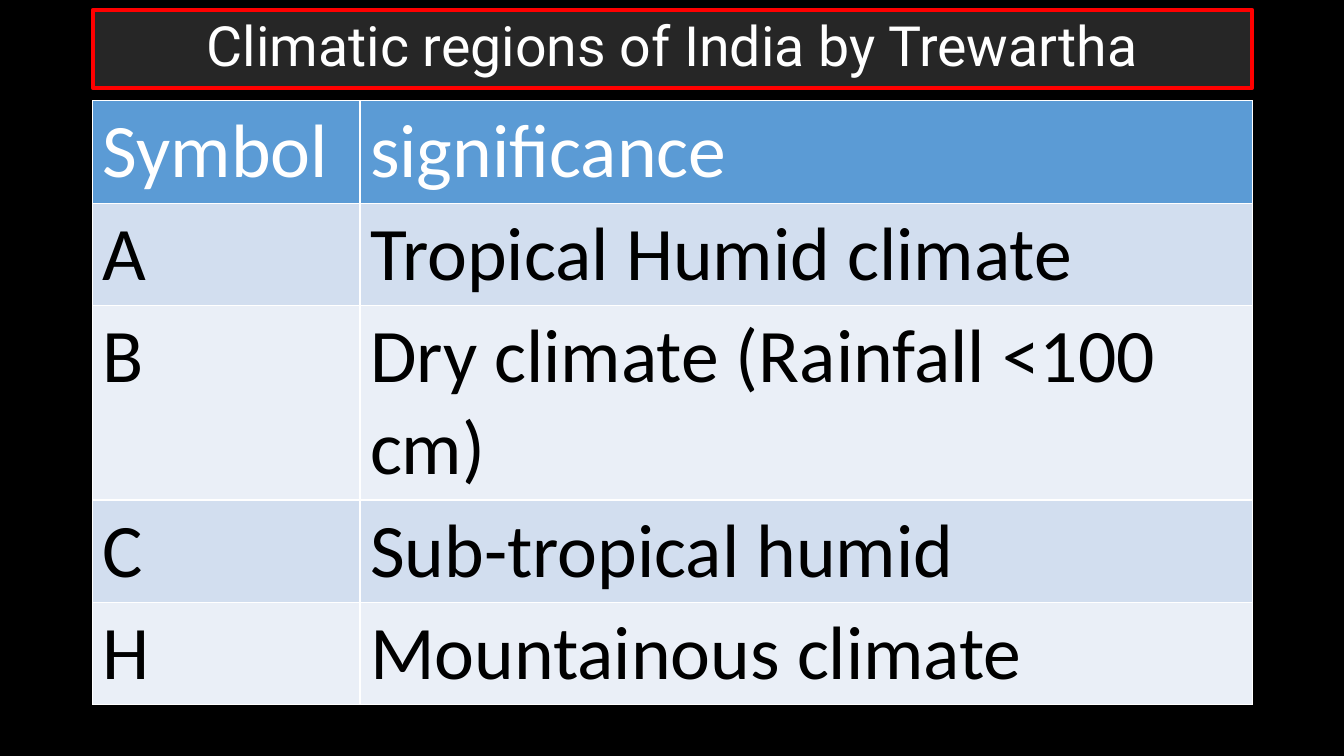
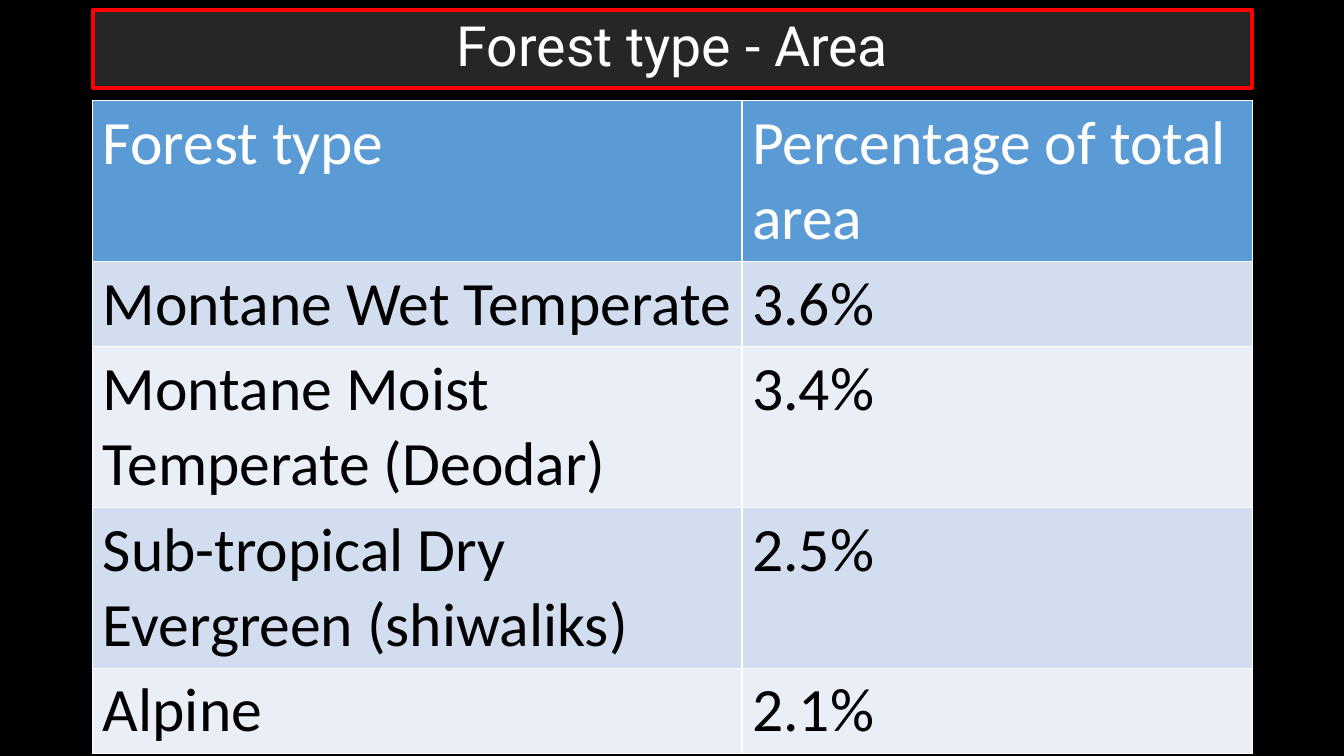
"""Build two slides, each with a framed title and a banded two-column table."""
import dataclasses

import lxml.etree
import pptx
import pptx.dml.color
import pptx.enum.text
import pptx.oxml.ns
import pptx.presentation
import pptx.slide
import pptx.table
import pptx.util

Inches = pptx.util.Inches
RGBColor = pptx.dml.color.RGBColor

BLACK = RGBColor(0x00, 0x00, 0x00)
WHITE = RGBColor(0xFF, 0xFF, 0xFF)
RED = RGBColor(0xFF, 0x00, 0x00)
CHARCOAL = RGBColor(0x26, 0x26, 0x26)
HEADER_BLUE = RGBColor(0x5B, 0x9B, 0xD5)
BAND_COLOURS = (RGBColor(0xEA, 0xEF, 0xF7), RGBColor(0xD2, 0xDE, 0xEF))

TITLE_FONT = "Roboto"
TABLE_FONT = "Calibri"
TITLE_ONLY_LAYOUT = 5
LEFT = Inches(0.92)
WIDTH = Inches(11.5)
TITLE_TOP, TITLE_HEIGHT = Inches(0.1), Inches(0.77)
TABLE_TOP = Inches(1)
MINIMUM_ROW_HEIGHT = Inches(0.41)
BORDER_WIDTH = pptx.util.Pt(1)


@dataclasses.dataclass(frozen=True)
class TablePage:
    title: str
    font_size: int
    table_height: float
    column_widths: tuple[float, ...]
    rows: tuple[tuple[str, ...], ...]


PAGES = (
    TablePage(
        title="Climatic regions of India by Trewartha",
        font_size=54,
        table_height=5.9,
        column_widths=(2.65, 8.85),
        rows=(
            ("Symbol", "significance"),
            ("A", "Tropical Humid climate"),
            ("B", "Dry climate (Rainfall <100 cm)"),
            ("C", "Sub-tropical humid"),
            ("H", "Mountainous climate"),
        ),
    ),
    TablePage(
        title="Forest type - Area",
        font_size=44,
        table_height=6.37,
        column_widths=(6.44, 5.06),
        rows=(
            ("Forest type", "Percentage of total area"),
            ("Montane Wet Temperate", "3.6%"),
            ("Montane Moist Temperate (Deodar)", "3.4%"),
            ("Sub-tropical Dry Evergreen (shiwaliks)", "2.5%"),
            ("Alpine", "2.1%"),
        ),
    ),
)


def format_span(
    para: pptx.text.text._Paragraph, name: str, size: float, colour: RGBColor
) -> None:
    for span in para.runs:
        span.font.name = name
        span.font.size = pptx.util.Pt(size)
        span.font.bold = False
        span.font.color.rgb = colour


def draw_title(page: pptx.slide.Slide, text: str) -> None:
    box = page.shapes.title
    box.left, box.top, box.width, box.height = LEFT, TITLE_TOP, WIDTH, TITLE_HEIGHT
    box.fill.solid()
    box.fill.fore_color.rgb = CHARCOAL
    box.line.color.rgb = RED
    box.line.width = pptx.util.Pt(3)
    frame = box.text_frame
    frame.text = text
    frame.word_wrap = True
    frame.auto_size = pptx.enum.text.MSO_AUTO_SIZE.NONE
    frame.vertical_anchor = pptx.enum.text.MSO_ANCHOR.MIDDLE
    para = frame.paragraphs[0]
    para.alignment = pptx.enum.text.PP_ALIGN.CENTER
    para.line_spacing = 0.9
    format_span(para, TITLE_FONT, 39.6, WHITE)


def add_borders(cell: pptx.table._Cell) -> None:
    qualified = pptx.oxml.ns.qn
    properties = cell._tc.get_or_add_tcPr()
    for side in ("lnL", "lnR", "lnT", "lnB"):
        line = lxml.etree.SubElement(
            properties, qualified(f"a:{side}"), w=str(int(BORDER_WIDTH))
        )
        fill = lxml.etree.SubElement(line, qualified("a:solidFill"))
        lxml.etree.SubElement(fill, qualified("a:srgbClr"), val=str(WHITE))


def draw_table(page: pptx.slide.Slide, content: TablePage) -> None:
    table = page.shapes.add_table(
        len(content.rows),
        len(content.column_widths),
        LEFT,
        TABLE_TOP,
        WIDTH,
        Inches(content.table_height),
    ).table
    table.horz_banding = False
    for column, width in zip(table.columns, content.column_widths):
        column.width = Inches(width)
    for row_index, texts in enumerate(content.rows):
        table.rows[row_index].height = MINIMUM_ROW_HEIGHT
        is_header = row_index == 0
        for column_index, text in enumerate(texts):
            cell = table.cell(row_index, column_index)
            add_borders(cell)
            cell.fill.solid()
            cell.fill.fore_color.rgb = (
                HEADER_BLUE if is_header else BAND_COLOURS[row_index % 2]
            )
            cell.text_frame.text = text
            format_span(
                cell.text_frame.paragraphs[0],
                TABLE_FONT,
                content.font_size,
                WHITE if is_header else BLACK,
            )


def add_page(deck: pptx.presentation.Presentation, content: TablePage) -> None:
    page = deck.slides.add_slide(deck.slide_layouts[TITLE_ONLY_LAYOUT])
    draw_table(page, content)
    draw_title(page, content.title)


def main() -> None:
    deck = pptx.Presentation()
    deck.slide_width, deck.slide_height = Inches(13.33), Inches(7.5)
    background = deck.slide_master.background.fill
    background.solid()
    background.fore_color.rgb = BLACK
    for content in PAGES:
        add_page(deck, content)
    deck.save("out.pptx")


if __name__ == "__main__":
    main()
